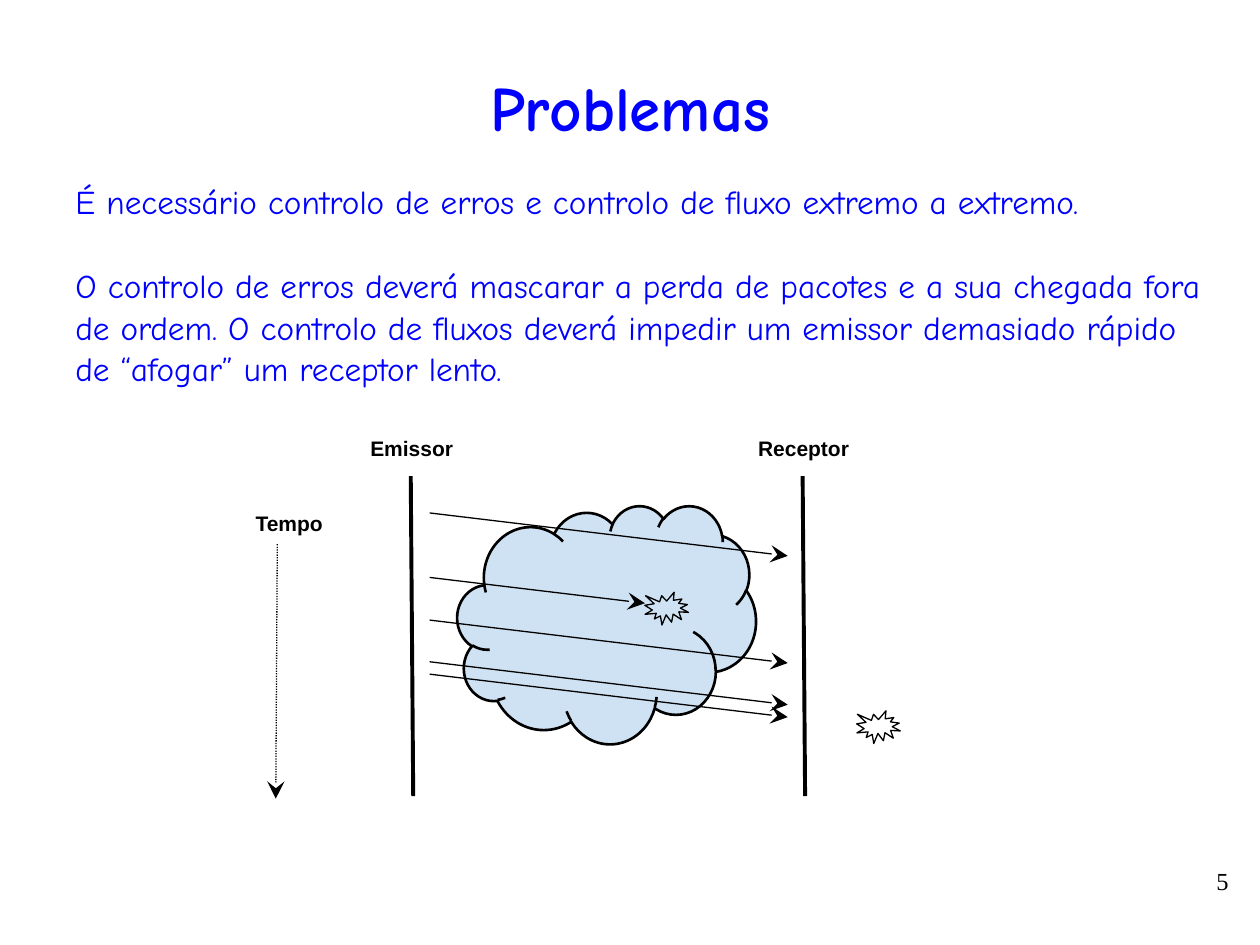
from lxml import etree
from pptx import Presentation
from pptx.dml.color import RGBColor
from pptx.enum.dml import MSO_LINE
from pptx.enum.shapes import MSO_CONNECTOR, MSO_SHAPE
from pptx.enum.text import MSO_ANCHOR, MSO_AUTO_SIZE, PP_ALIGN
from pptx.oxml.ns import qn
from pptx.util import Cm, Pt

STRAIGHT = MSO_CONNECTOR.STRAIGHT
CLOUD, SEAL = MSO_SHAPE.CLOUD, MSO_SHAPE.EXPLOSION1
TOP, MIDDLE = MSO_ANCHOR.TOP, MSO_ANCHOR.MIDDLE
LEFT, CENTER, RIGHT = PP_ALIGN.LEFT, PP_ALIGN.CENTER, PP_ALIGN.RIGHT
DOTTED = MSO_LINE.ROUND_DOT
BLUE, BLACK, WHITE, PALE_BLUE = "0000FF", "000000", "FFFFFF", "CFE2F3"

TITLE = "Problemas"
BODY = [
    "É necessário controlo de erros e controlo de fluxo extremo a extremo.",
    "O controlo de erros deverá mascarar a perda de pacotes e a sua chegada fora de ordem. "
    "O controlo de fluxos deverá impedir um emissor demasiado rápido de “afogar” um receptor lento.",
]
PAGE_NUMBER = "5"
ENDPOINTS = [("Emissor", 8.3), ("Receptor", 16.2)]
TIME_LABEL = ("Tempo", 5.83)
PACKET_START, PACKET_END, LOSS_X = 8.66, 15.88, 13
PACKETS = [(10.34, PACKET_END), (11.64, LOSS_X), (12.5, PACKET_END),
           (13.34, PACKET_END), (13.59, PACKET_END)]
PACKET_SLOPE = 0.12


def color(value):
    """Turn a hex string into a colour."""
    return RGBColor.from_string(value)


def place(shape, left, top, width, height):
    """Move and size a shape in centimetres."""
    shape.left, shape.top, shape.width, shape.height = map(Cm, (left, top, width, height))


def write(shape, texts, font, size, hue, align, anchor, bold=False, inset=0.13,
          line_spacing=None, gap=0):
    """Fill a text shape with one formatted run per paragraph."""
    frame = shape.text_frame
    frame.word_wrap = True
    frame.auto_size = MSO_AUTO_SIZE.NONE
    frame.vertical_anchor = anchor
    frame.margin_left = frame.margin_right = Cm(0.25)
    frame.margin_top = frame.margin_bottom = Cm(inset)
    for index, text in enumerate(texts):
        paragraph = frame.add_paragraph() if index else frame.paragraphs[0]
        paragraph.alignment = align
        paragraph.space_before = Pt(gap if index else 0)
        if line_spacing:
            paragraph.line_spacing = line_spacing
        run = paragraph.add_run()
        run.text = text
        run.font.name, run.font.size, run.font.bold = font, Pt(size), bold
        run.font.color.rgb = color(hue)


def remove_bullets(shape):
    """Drop the bullets and hanging indents of a body placeholder."""
    for paragraph in shape.text_frame.paragraphs:
        properties = paragraph._p.get_or_add_pPr()
        properties.set("marL", "0")
        properties.set("indent", "0")
        etree.SubElement(properties, qn("a:buNone"))


def add_label(slide, text, center, top, width):
    """Add a bold label centred on a horizontal position."""
    box = slide.shapes.add_textbox(Cm(center - width / 2), Cm(top), Cm(width), Cm(1.14))
    write(box, [text], "Arial", 12, BLACK, CENTER, MIDDLE, bold=True, inset=0.25)


def add_outline(slide, kind, left, top, width, height, weight, fill=None):
    """Add a black-outlined preset shape, filled or hollow."""
    shape = slide.shapes.add_shape(kind, Cm(left), Cm(top), Cm(width), Cm(height))
    shape.shadow.inherit = False
    if fill:
        shape.fill.solid()
        shape.fill.fore_color.rgb = color(fill)
    else:
        shape.fill.background()
    shape.line.color.rgb = color(BLACK)
    shape.line.width = Pt(weight)


def add_line(slide, x1, y1, x2, y2, weight=0.75, dash=None, arrow=True):
    """Add a black line, with a stealth arrowhead unless told otherwise."""
    connector = slide.shapes.add_connector(STRAIGHT, Cm(x1), Cm(y1), Cm(x2), Cm(y2))
    connector.line.color.rgb = color(BLACK)
    connector.line.width = Pt(weight)
    if dash:
        connector.line.dash_style = dash
    if arrow:
        etree.SubElement(connector.line._get_or_add_ln(), qn("a:tailEnd"),
                         type="stealth", w="lg", len="lg")
    etree.SubElement(connector._element.spPr, qn("a:effectLst"))


def main():
    """Build the slide and save it."""
    presentation = Presentation()
    presentation.slide_width, presentation.slide_height = Cm(25.4), Cm(19.05)
    slide = presentation.slides.add_slide(presentation.slide_layouts[1])

    title, body = slide.placeholders[0], slide.placeholders[1]
    place(title, 1.27, 0.56, 22.86, 3.18)
    write(title, [TITLE], "Comic Neue", 36, BLUE, CENTER, MIDDLE, bold=True)
    place(body, 1.27, 3.48, 23.6, 4.8)
    write(body, BODY, "Comic Neue", 19, BLUE, LEFT, TOP, line_spacing=1.05, gap=24)
    remove_bullets(body)

    add_outline(slide, CLOUD, 9.22, 10.19, 6.02, 4.8, 1.5, PALE_BLUE)
    for name, center in ENDPOINTS:
        add_label(slide, name, center, 8.46, 5.03)
        add_line(slide, center - 0.02, 9.6, center + 0.03, 16.05, weight=2.25, arrow=False)
    add_label(slide, *TIME_LABEL, 9.98, 3.84)
    add_line(slide, 5.59, 10.97, 5.56, 16.1, dash=DOTTED)

    add_outline(slide, SEAL, LOSS_X, 11.94, 0.88, 0.66, 0.75)
    add_outline(slide, SEAL, 17.27, 14.33, 0.88, 0.66, 0.75, WHITE)
    for start_y, end_x in PACKETS:
        end_y = start_y + PACKET_SLOPE * (end_x - PACKET_START)
        add_line(slide, PACKET_START, start_y, end_x, end_y)

    number = slide.shapes.add_textbox(Cm(19.1), Cm(17.32), Cm(5.92), Cm(1.32))
    write(number, [PAGE_NUMBER], "Times New Roman", 14, BLACK, RIGHT, TOP)
    presentation.save("out.pptx")


if __name__ == "__main__":
    main()
